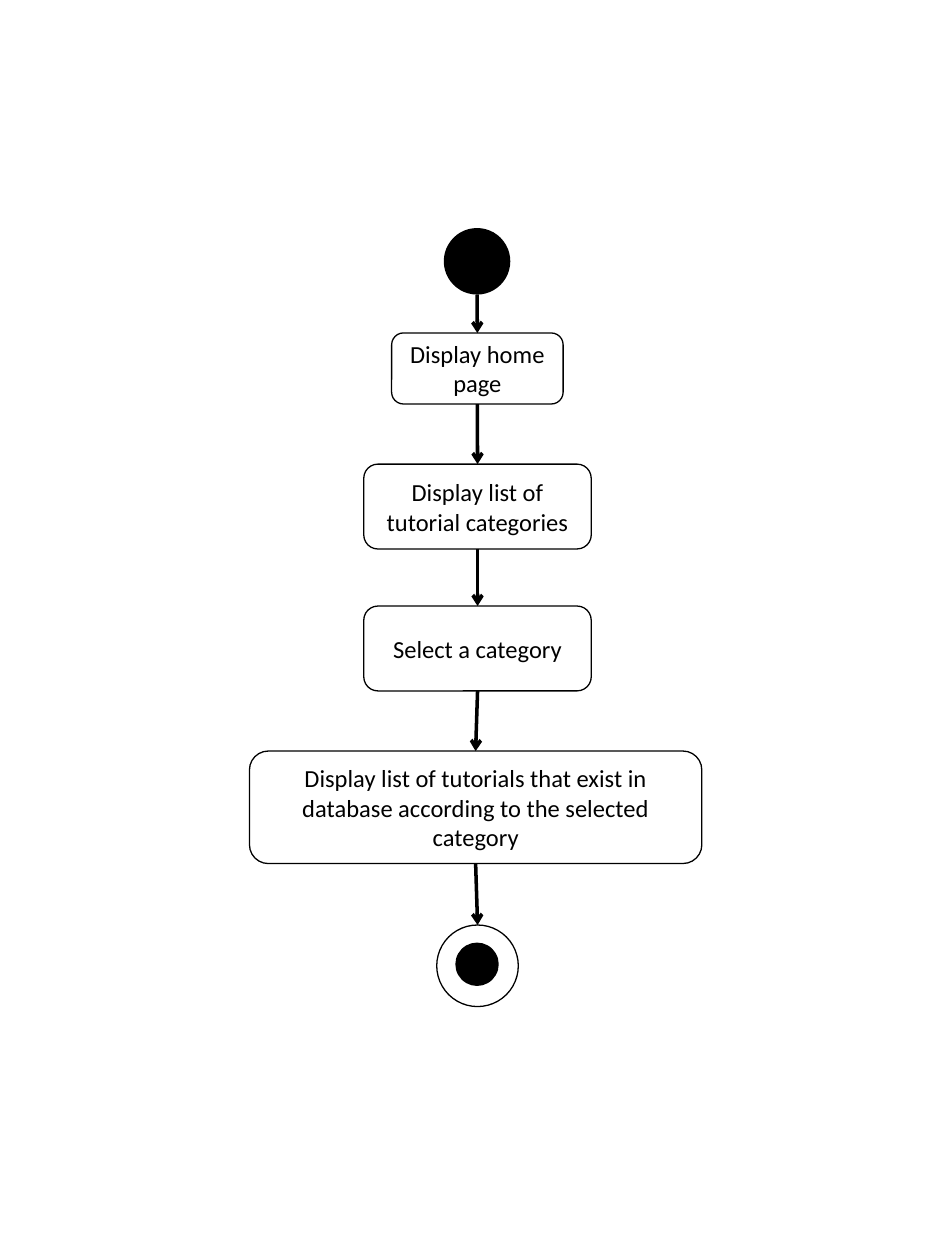
from lxml import etree
from pptx import Presentation
from pptx.dml.color import RGBColor
from pptx.enum.shapes import MSO_CONNECTOR, MSO_SHAPE
from pptx.enum.text import MSO_ANCHOR, PP_ALIGN
from pptx.oxml.ns import qn
from pptx.util import Pt

COLORS = {"ink": "000000", "paper": "FFFFFF"}
FONT = "Calibri"
OVAL = MSO_SHAPE.OVAL
ROUNDED = MSO_SHAPE.ROUNDED_RECTANGLE
STRAIGHT = MSO_CONNECTOR.STRAIGHT
MIDDLE = MSO_ANCHOR.MIDDLE
CENTER = PP_ALIGN.CENTER

STEPS = [
    ("Display home page", 130.2, 60, 98, 40.6),
    ("Display list of tutorial categories", 130.3, 134.9, 130, 48.5),
    ("Select a category", 130.3, 216, 130, 48.5),
    ("Display list of tutorials that exist in database according to "
     "the selected category", 129.2, 298.9, 258.5, 64.3),
]


def color(name):
    """Return the named palette colour."""
    return RGBColor.from_string(COLORS[name])


def write_text(shape, text, size=14, ink="ink", align=CENTER, anchor=MIDDLE):
    """Write one formatted paragraph into a shape."""
    frame = shape.text_frame
    frame.word_wrap = True
    frame.vertical_anchor = anchor
    para = frame.paragraphs[0]
    para.alignment = align
    span = para.add_run()
    span.text = text
    span.font.name = FONT
    span.font.size = Pt(size)
    span.font.color.rgb = color(ink)


def add_node(page, kind, center, top, width, height, fill="paper", outlined=True):
    """Add a shape centred on a horizontal position."""
    shape = page.shapes.add_shape(
        kind, Pt(center - width / 2), Pt(top), Pt(width), Pt(height))
    shape.shadow.inherit = False
    shape.fill.solid()
    shape.fill.fore_color.rgb = color(fill)
    if outlined:
        shape.line.color.rgb = color("ink")
        shape.line.width = Pt(0.75)
    else:
        shape.line.fill.background()
    return shape


def add_arrow(page, upper, lower):
    """Join the bottom of one node to the top of the next."""
    arrow = page.shapes.add_connector(
        STRAIGHT,
        upper.left + upper.width // 2, upper.top + upper.height,
        lower.left + lower.width // 2, lower.top)
    arrow.line.color.rgb = color("ink")
    arrow.line.width = Pt(2)
    line = arrow.line._get_or_add_ln()
    etree.SubElement(line, qn("a:tailEnd"), type="arrow")
    etree.SubElement(arrow._element.spPr, qn("a:effectLst"))


def add_activity_flow(page, left, top):
    """Draw the start node, the steps, the end node and their arrows."""
    start = add_node(page, OVAL, left + 130, top, 38, 38, fill="ink", outlined=False)
    nodes = [start]
    for text, center, offset, width, height in STEPS:
        step = add_node(page, ROUNDED, left + center, top + offset, width, height)
        write_text(step, text)
        nodes.append(step)
    nodes.append(add_node(page, OVAL, left + 130.3, top + 398.3, 46.6, 46.6))
    add_node(page, OVAL, left + 130, top + 408.3, 24.8, 24.8, fill="ink", outlined=False)
    for upper, lower in zip(nodes, nodes[1:]):
        add_arrow(page, upper, lower)


def main():
    """Build and save the deck."""
    deck = Presentation()
    deck.slide_width = Pt(540)
    deck.slide_height = Pt(720)
    page = deck.slides.add_slide(deck.slide_layouts[6])
    add_activity_flow(page, left=142.6, top=130.3)
    deck.save("out.pptx")


if __name__ == "__main__":
    main()
